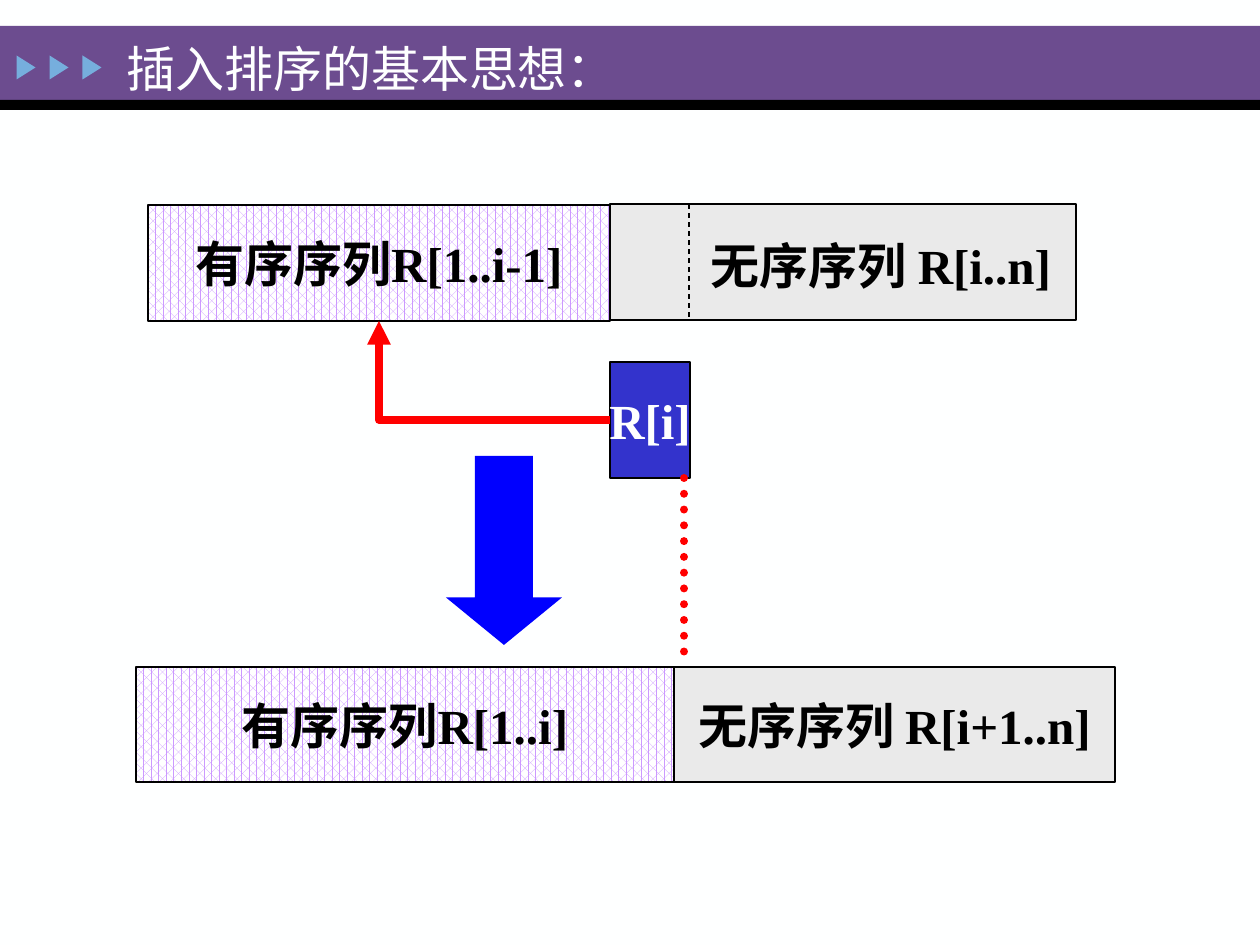
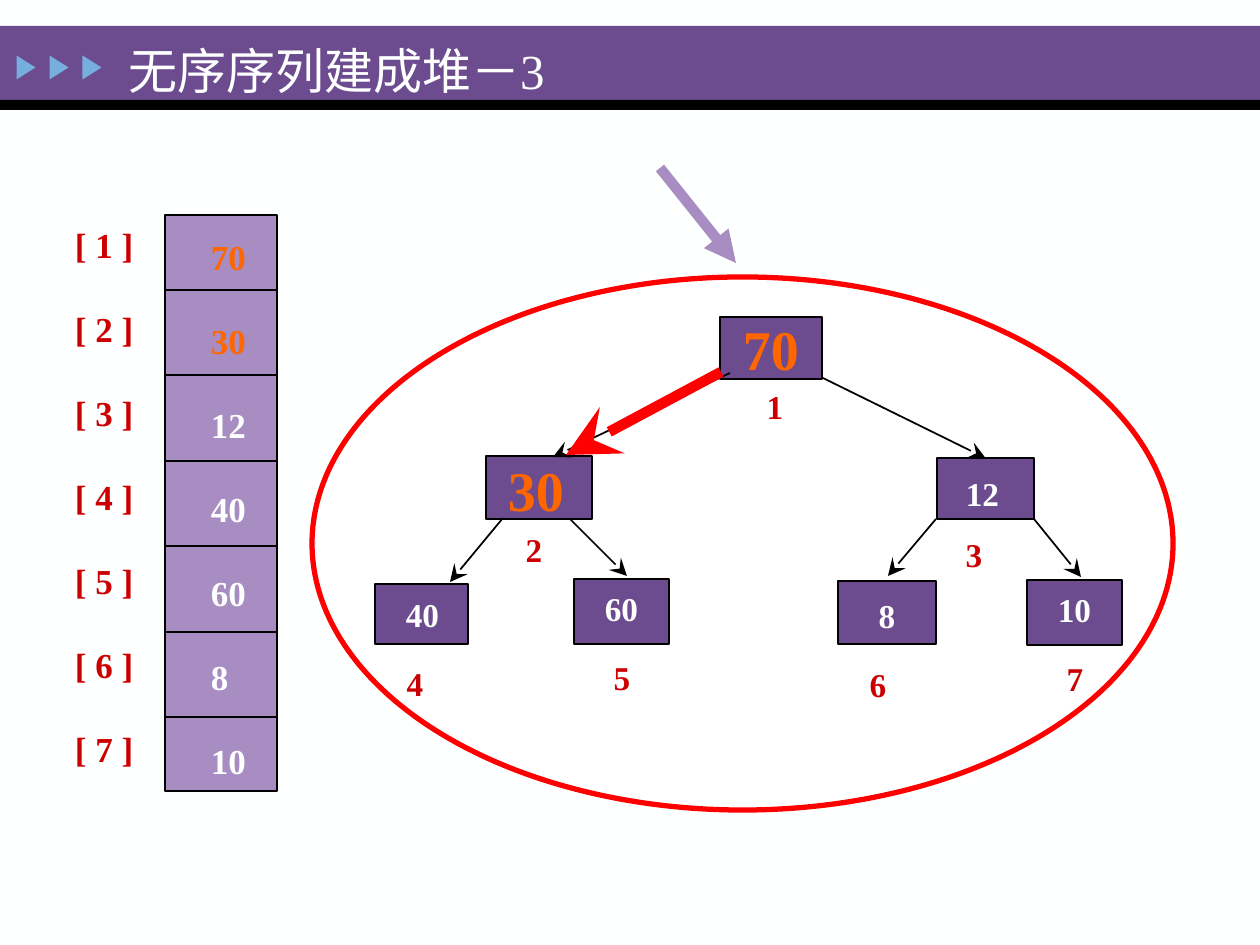
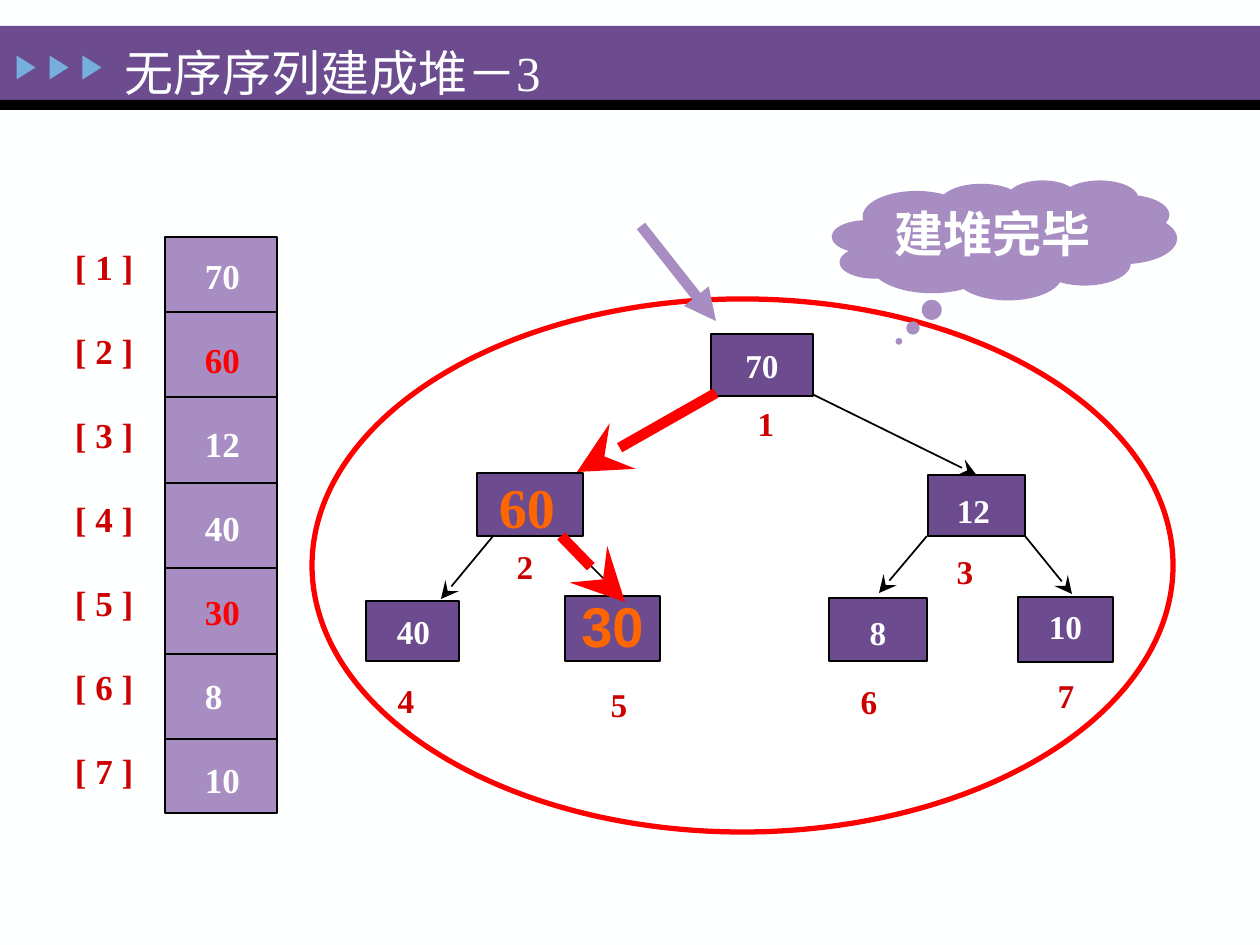
from lxml.etree import SubElement
from pptx import Presentation
from pptx.dml.color import RGBColor
from pptx.enum.dml import MSO_LINE as Dash, MSO_PATTERN as Pattern
from pptx.enum.shapes import MSO_CONNECTOR as Connector, MSO_SHAPE as Shape
from pptx.enum.text import MSO_ANCHOR as Anchor, MSO_AUTO_SIZE as AutoSize, PP_ALIGN as Align
from pptx.oxml.ns import qn
from pptx.util import Pt

PX = 914400 / 126
SERIF = "Times New Roman"
BLACK, WHITE, PAPER, RED = "000000", "FFFFFF", "FEFFFF", "FF0000"
PURPLE, LILAC, SKY, GREY, HATCH = "6C4C8F", "A78DC2", "76AEDD", "EAEAEA", "CC99FF"
CRIMSON, ORANGE = "CC0000", "FF6600"
rgb = RGBColor.from_string


def add_box(slide, kind, box, fill=None, line=None, texts=(), size=28, font=SERIF, gap=0,
            align=Align.CENTER, anchor=Anchor.MIDDLE, wrap=False, margins=(13, 6, 13, 6)):
    """Add a shape, or a text box if kind is None; texts holds (text, colour) paragraphs."""
    place = [round(value * PX) for value in box]
    if kind is None:
        shape = slide.shapes.add_textbox(*place)
    else:
        shape = slide.shapes.add_shape(kind, *place)
        shape.shadow.inherit = False
        shape.fill.solid()
        shape.fill.fore_color.rgb = rgb(fill)
        if line:
            shape.line.color.rgb, shape.line.width = rgb(line[0]), Pt(line[1])
        else:
            shape.line.fill.background()
    frame = shape.text_frame
    frame.word_wrap, frame.vertical_anchor = wrap, anchor
    for side, margin in zip(("left", "top", "right", "bottom"), margins):
        setattr(frame, f"margin_{side}", round(margin * PX))
    for index, (text, colour) in enumerate(texts):
        paragraph = frame.add_paragraph() if index else frame.paragraphs[0]
        paragraph.text, paragraph.alignment = text, align
        if index and gap:
            paragraph.space_before = Pt(gap)
        for name, value in {"name": font, "size": Pt(size), "bold": True}.items():
            setattr(paragraph.font, name, value)
        paragraph.font.color.rgb = rgb(colour)
    return shape


def add_line(slide, ends, colour=BLACK, width=1, arrow=None, head="med", dash=None,
             kind=Connector.STRAIGHT):
    connector = slide.shapes.add_connector(kind, *[round(value * PX) for value in ends])
    connector.line.color.rgb, connector.line.width = rgb(colour), Pt(width)
    if dash:
        connector.line.dash_style = dash
    properties = connector.element.spPr
    if arrow:
        SubElement(properties.get_or_add_ln(), qn("a:tailEnd"), type=arrow, w=head, len=head)
    SubElement(properties, qn("a:effectLst"))
    return connector


presentation = Presentation()
presentation.slide_width, presentation.slide_height = round(1260 * PX), round(945 * PX)
background = presentation.slide_master.background.fill
background.solid()
background.fore_color.rgb = rgb(PAPER)
layout = presentation.slide_layouts[5]

# Slides and their titles
slides = []
for text, box, spacing in [
    ("插入排序的基本思想：", (114, 32, 520, 72), None),
    ("无序序列建成堆－3", (116, 20, 562, 73), 1.25),
    ("无序序列建成堆－3", (112, 22, 563, 73), 1.25),
]:
    slide = presentation.slides.add_slide(layout)
    title = slide.shapes.title
    for name, value in zip(("left", "top", "width", "height"), box):
        setattr(title, name, round(value * PX))
    frame = title.text_frame
    frame.text = text
    frame.auto_size, frame.word_wrap, frame.vertical_anchor = AutoSize.NONE, True, Anchor.TOP
    paragraph = frame.paragraphs[0]
    paragraph.alignment, paragraph.line_spacing = Align.LEFT, spacing
    for name, value in {"name": SERIF, "size": Pt(28), "bold": False}.items():
        setattr(paragraph.font, name, value)
    paragraph.font.color.rgb = rgb(PAPER)
    slides.append(slide)

# Title band, drawn once and moved to the layout
idea = slides[0]
band = [
    add_box(idea, Shape.RECTANGLE, (0, 26, 1260, 74), PURPLE),
    add_box(idea, Shape.RECTANGLE, (0, 100, 1260, 10), BLACK),
]
for x in range(14, 81, 33):
    marker = add_box(idea, Shape.ISOSCELES_TRIANGLE, (x, 58, 24, 19), SKY)
    marker.rotation = 90
    band.append(marker)
for index, shape in enumerate(band):
    shape.element.nvSpPr.cNvPr.id += 10
    layout.shapes.element.insert(2 + index, shape.element)

# Slide 1: insertion step
sequences = []
for text, box, fill, margins in [
    ("有序序列R[1..i-1]", (148, 205, 462, 116), HATCH, (13, 6, 13, 6)),
    ("无序序列 R[i..n]", (610, 204, 466, 116), GREY, (76, 12, 0, 6)),
    ("有序序列R[1..i]", (136, 667, 538, 115), HATCH, (13, 6, 13, 6)),
    ("无序序列 R[i+1..n]", (674, 667, 441, 115), GREY, (13, 6, 13, 6)),
]:
    shape = add_box(idea, Shape.RECTANGLE, box, fill, (BLACK, 0.75), [(text, BLACK)],
                    margins=margins)
    if fill == HATCH:
        shape.fill.patterned()
        shape.fill.pattern = Pattern.PERCENT_60
        shape.fill.fore_color.rgb, shape.fill.back_color.rgb = rgb(HATCH), rgb(WHITE)
    sequences.append(shape)
record = add_box(idea, Shape.RECTANGLE, (610, 362, 80, 116), "3333CC", (BLACK, 0.75),
                 [("R[i]", PAPER)])
insertion = add_line(idea, (610, 420, 379, 321), RED, 4.5, "triangle", kind=Connector.ELBOW)
insertion.element.spPr.find(qn("a:prstGeom")).set("prst", "bentConnector2")
insertion.begin_connect(record, 1)
insertion.end_connect(sequences[0], 2)
down_arrow = add_box(idea, Shape.DOWN_ARROW, (446, 456, 116, 189), "0000FF")
down_arrow.adjustments[0], down_arrow.adjustments[1] = 0.5, 0.409
add_line(idea, (689, 204, 689, 320), width=0.75, dash=Dash.DASH)
dots = add_line(idea, (684, 478, 684, 667), RED, 4.5, dash=Dash.ROUND_DOT)
dots.element.spPr.get_or_add_ln().set("cap", "rnd")

# Slides 2 and 3: heap tree; node number -> box, centre of its index label, shift of its value
NODES = {
    1: ((720, 317, 102, 62), (774, 408), (0, 0)),
    2: ((486, 456, 106, 63), (533, 551), (-3, 2)),
    3: ((937, 458, 97, 61), (973, 556), (-3, 5)),
    4: ((375, 584, 93, 60), (414, 685), (1, 0)),
    5: ((574, 579, 95, 65), (621, 679), (0, -3)),
    6: ((838, 581, 98, 63), (877, 686), (0, 3)),
    7: ((1027, 580, 95, 65), (1074, 680), (0, -3)),
}
EDGES = {
    2: (730, 373, 553, 457),
    3: (823, 378, 983, 458),
    4: (503, 518, 450, 582),
    5: (570, 519, 627, 576),
    6: (936, 519, 888, 576),
    7: (1034, 519, 1081, 577),
}
HEAPS = [
    {"slide": slides[1], "drop": 0, "shift": (0, 0), "values": (70, 30, 12, 40, 60, 8, 10),
     "values_at": (198, 229), "accents": {1: ORANGE, 2: ORANGE}, "large": {1: SERIF, 2: SERIF},
     "nudges": {}, "hidden": (), "swaps": [(721, 372, 566, 455)],
     "pointer": (660, 168, 736, 263)},
    {"slide": slides[2], "drop": 22, "shift": (-9, 17), "values": (70, 60, 12, 40, 30, 8, 10),
     "values_at": (192, 248), "accents": {2: RED, 5: RED}, "large": {2: SERIF, 5: "Arial"},
     "nudges": {5: (6, 10)}, "hidden": (2,),
     "swaps": [(716, 393, 577, 472), (561, 536, 625, 602)],
     "pointer": (641, 226, 716, 321)},
]
for heap in HEAPS:
    slide, drop, (dx, dy) = heap["slide"], heap["drop"], heap["shift"]
    add_box(slide, Shape.OVAL, (312, 277 + drop, 861, 533), WHITE, (RED, 3))

    # Array column
    add_box(slide, Shape.RECTANGLE, (165, 215 + drop, 112, 576), LILAC, (BLACK, 1))
    for row in range(6):
        y = 290 + drop + round(85.4 * row)
        add_line(slide, (164, y, 277, y))
    column = {"size": 20, "gap": 24, "align": Align.LEFT, "anchor": Anchor.TOP, "wrap": True}
    add_box(slide, None, (62, 217 + drop, 100, 560),
            texts=[(f"[ {number} ]", CRIMSON) for number in NODES], **column)
    add_box(slide, None, (*heap["values_at"], 80, 560),
            texts=[(str(value), heap["accents"].get(number, PAPER))
                   for number, value in zip(NODES, heap["values"])], **column)

    # Tree
    shapes = {}
    for (number, (box, centre, offset)), value in zip(NODES.items(), heap["values"]):
        x, y, width, height = box
        right, down = offset
        large = number in heap["large"]
        shapes[number] = add_box(
            slide, Shape.RECTANGLE, (x + dx, y + dy, width, height), PURPLE, (BLACK, 1),
            [(str(value), ORANGE if large else PAPER)], 32 if large else 19,
            heap["large"].get(number, SERIF),
            margins=(6 + right, 6 + down, 6 - right, 6 - down))
        nudge_x, nudge_y = heap["nudges"].get(number, (0, 0))
        add_box(slide, None, (centre[0] + dx + nudge_x - 24, centre[1] + dy + nudge_y - 27, 50, 50),
                texts=[(str(number), CRIMSON)], size=19)
    for child, (x1, y1, x2, y2) in EDGES.items():
        if child not in heap["hidden"]:
            edge = add_line(slide, (x1 + dx, y1 + dy, x2 + dx, y2 + dy),
                            arrow="stealth", head="lg")
            if child == 3:
                edge.end_connect(shapes[child], 0)
    for ends in heap["swaps"]:
        add_line(slide, ends, RED, 6, "stealth", "lg")
    add_line(slide, heap["pointer"], LILAC, 6, "triangle")

cloud = add_box(slides[2], Shape.CLOUD_CALLOUT, (832, 180, 345, 120), LILAC,
                texts=[("建堆完毕", PAPER)], anchor=Anchor.TOP, wrap=True, margins=(6, 5, 6, 6))
cloud.adjustments[0], cloud.adjustments[1] = -0.306, 0.845

presentation.save("out.pptx")
